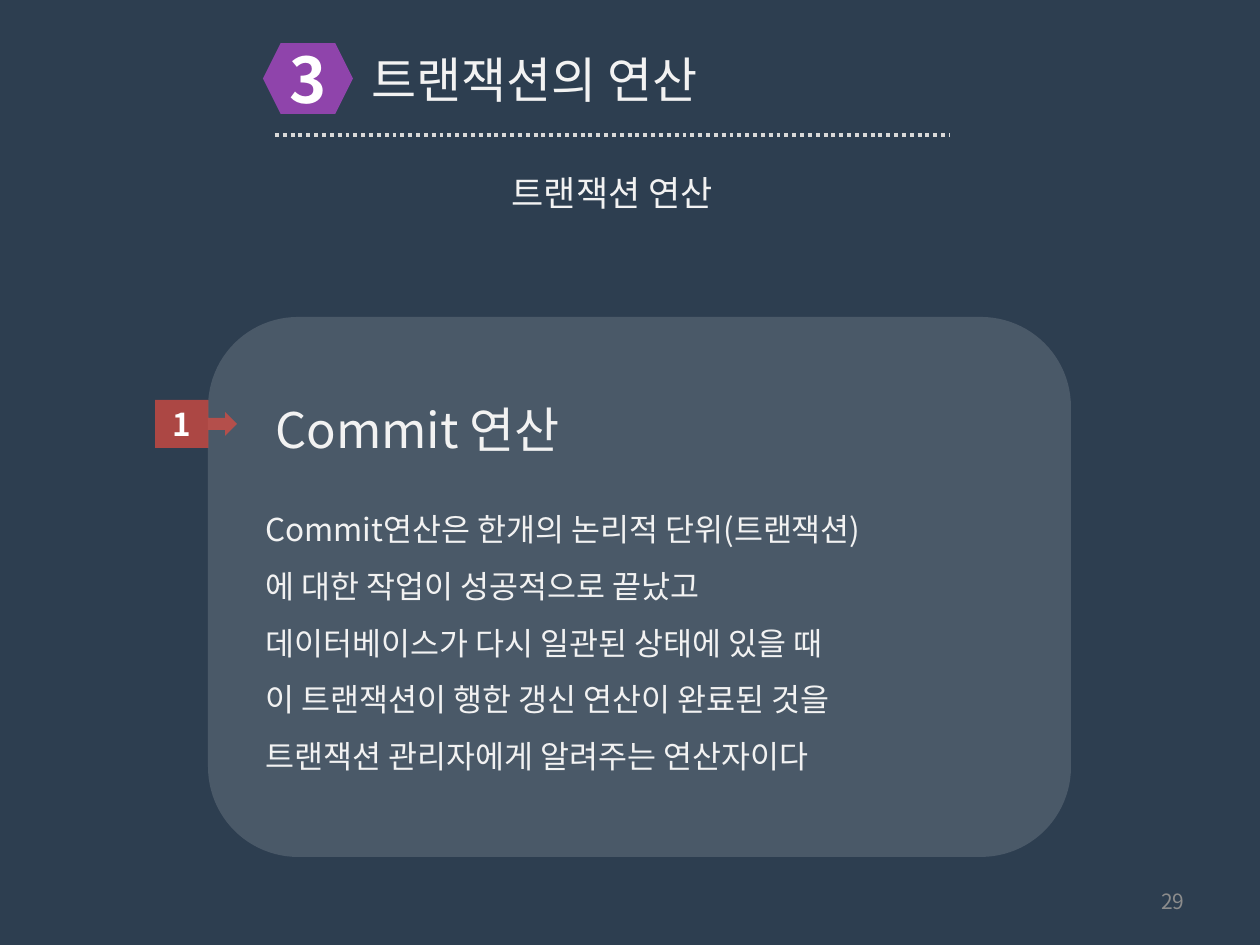
from dataclasses import dataclass

from lxml import etree
from pptx import Presentation
from pptx.dml.color import RGBColor
from pptx.enum.dml import MSO_LINE
from pptx.enum.shapes import MSO_CONNECTOR, MSO_SHAPE as Shape
from pptx.enum.text import MSO_ANCHOR as Anchor, MSO_AUTO_SIZE as AutoSize, PP_ALIGN as Align
from pptx.oxml.ns import qn
from pptx.util import Pt

EMU_PER_PX = 914400 / 126


@dataclass(frozen=True)
class Theme:
    font: str = "Noto Sans CJK KR"
    background: str = "2D3E50"
    panel: str = "FFFFFF"
    hexagon: str = "8F44AB"
    callout: str = "E24C3F"
    rule: str = "D9D9D9"
    text: str = "F2F2F2"
    badge_text: str = "FFFFFF"
    page_number: str = "8C8C8C"
    number_size: int = 36
    title_size: int = 28
    subtitle_size: int = 20
    body_size: int = 18
    page_number_size: int = 12


THEME = Theme()


def px(value):
    return round(value * EMU_PER_PX)


def place(left, top, width, height):
    return px(left), px(top), px(width), px(height)


def write(shape, lines, size, color=THEME.text, align=Align.LEFT,
          anchor=Anchor.TOP, bold=False, spacing=None, grow=False):
    frame = shape.text_frame
    frame.word_wrap = True
    frame.vertical_anchor = anchor
    if grow:
        frame.auto_size = AutoSize.SHAPE_TO_FIT_TEXT
    for index, line in enumerate(lines):
        para = frame.paragraphs[0] if index == 0 else frame.add_paragraph()
        para.text = line
        para.alignment = align
        if spacing:
            para.line_spacing = spacing
        font = para.font
        font.name = THEME.font
        font.size = Pt(size)
        font.bold = bold
        font.color.rgb = RGBColor.from_string(color)
        latin = para._p.pPr.find(qn("a:defRPr")).find(qn("a:latin"))
        east_asian = etree.Element(qn("a:ea"), typeface=THEME.font)
        latin.addnext(east_asian)


def add_text(shapes, box, lines, size, **style):
    write(shapes.add_textbox(*place(*box)), lines, size, **style)


def add_filled(shapes, kind, box, color, opacity=100):
    shape = shapes.add_shape(kind, *place(*box))
    shape.shadow.inherit = False
    shape.line.fill.background()
    shape.fill.solid()
    shape.fill.fore_color.rgb = RGBColor.from_string(color)
    if opacity < 100:
        tint = shape._element.spPr.find(qn("a:solidFill"))[0]
        etree.SubElement(tint, qn("a:alpha"), val=str(opacity * 1000))
    return shape


def add_heading(page, box, number, title):
    left, top, width, height = box
    shapes = page.shapes.add_group_shape().shapes
    badge = add_filled(shapes, Shape.HEXAGON, (left, top, 90, 71), THEME.hexagon)
    write(badge, [number], THEME.number_size, color=THEME.badge_text,
          align=Align.CENTER, anchor=Anchor.MIDDLE, bold=True)
    add_text(shapes, (left + 96, top, width - 96, 72), [title],
             THEME.title_size, grow=True)
    bottom = px(top + height)
    rule = shapes.add_connector(MSO_CONNECTOR.STRAIGHT, px(left + 12), bottom,
                                px(left + 687), bottom)
    rule.line.color.rgb = RGBColor.from_string(THEME.rule)
    rule.line.width = Pt(2.25)
    rule.line.dash_style = MSO_LINE.ROUND_DOT
    etree.SubElement(rule._element.spPr, qn("a:effectLst"))


def add_panel(page, box, title, lines):
    left, top, width, height = box
    add_filled(page.shapes, Shape.ROUNDED_RECTANGLE, box, THEME.panel, opacity=14)
    add_text(page.shapes, (left + 55, top + 47, 606, 92), [title],
             THEME.title_size, spacing=1.5, grow=True)
    add_text(page.shapes, (left + 45, top + 170, width - 46, 292), lines,
             THEME.body_size, anchor=Anchor.MIDDLE, spacing=1.5, grow=True)


def add_callout(page, box, number):
    callout = add_filled(page.shapes, Shape.RIGHT_ARROW_CALLOUT, box,
                         THEME.callout, opacity=70)
    write(callout, [number], THEME.body_size, color=THEME.badge_text,
          align=Align.CENTER, anchor=Anchor.MIDDLE, bold=True)


def main():
    deck = Presentation()
    deck.slide_width, deck.slide_height = px(1260), px(945)
    page = deck.slides.add_slide(deck.slide_layouts[6])
    page.background.fill.solid()
    page.background.fill.fore_color.rgb = RGBColor.from_string(THEME.background)

    add_panel(page, (208, 317, 863, 540), "Commit 연산", [
        "Commit연산은 한개의 논리적 단위(트랜잭션)",
        "에 대한 작업이 성공적으로 끝났고",
        "데이터베이스가 다시 일관된 상태에 있을 때",
        "이 트랜잭션이 행한 갱신 연산이 완료된 것을",
        "트랜잭션 관리자에게 알려주는 연산자이다",
    ])
    add_heading(page, (263, 43, 761, 92), "3", "트랜잭션의 연산")
    add_text(page.shapes, (280, 165, 665, 55), ["트랜잭션 연산"],
             THEME.subtitle_size, align=Align.CENTER, grow=True)
    add_callout(page, (155, 400, 82, 48), "1")
    add_text(page.shapes, (903, 876, 294, 50), ["29"], THEME.page_number_size,
             color=THEME.page_number, align=Align.RIGHT, anchor=Anchor.MIDDLE)
    deck.save("out.pptx")


if __name__ == "__main__":
    main()
